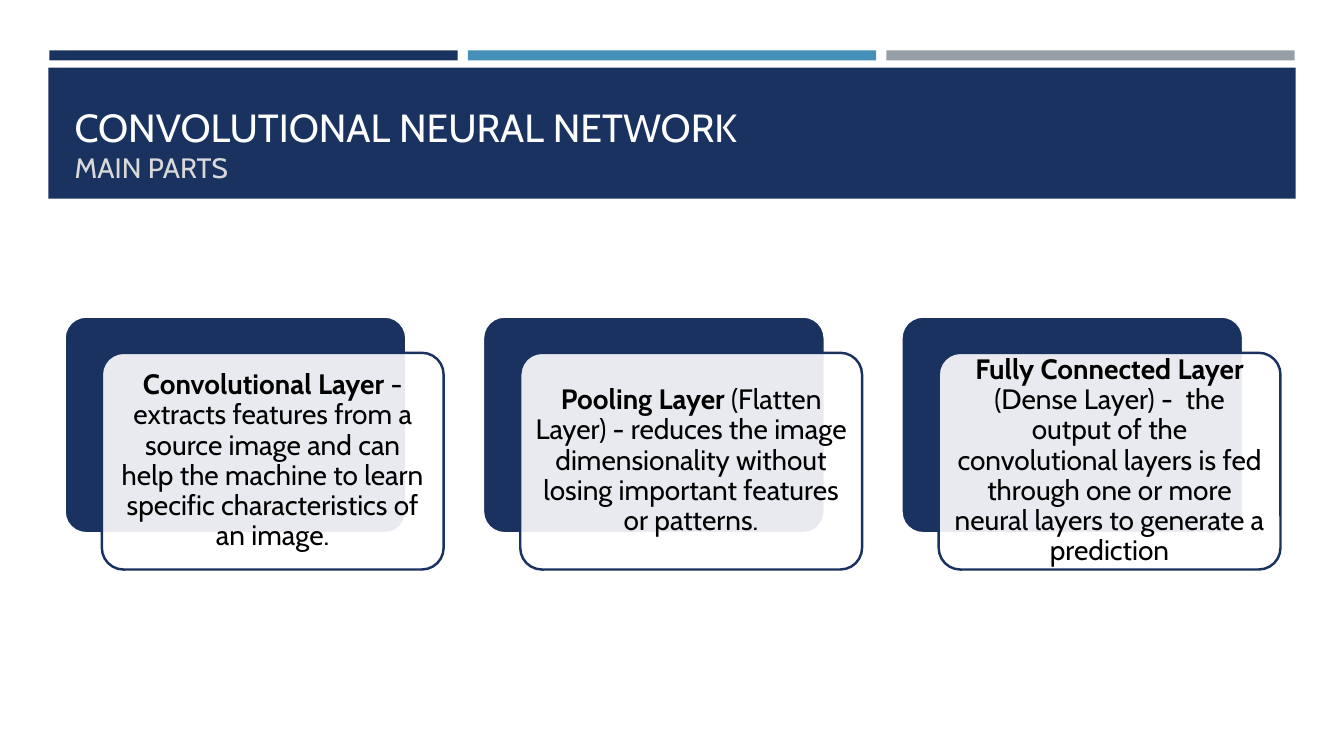
"""Build a slide on the three main parts of a convolutional neural network."""
from lxml import etree
from pptx import Presentation
from pptx import util as u
from pptx.dml.color import RGBColor
from pptx.enum import shapes, text
from pptx.oxml.ns import qn

COLORS = {"navy": "1A3260", "blue": "4590B8", "gray": "969FA7", "white": "FFFFFF",
          "title": "FFFEFF", "subtitle": "D9D9D9", "black": "000000"}
FONT = "Cabin"
COLUMN = 4.15
BAR_LEFT, CARD_LEFT, CARD_TOP = 0.49, 0.64, 3.14
CARD_W, CARD_H = 3.39, 2.15

prs = Presentation()
prs.slide_width, prs.slide_height = u.Inches(13.33), u.Inches(7.5)
s = prs.slides.add_slide(prs.slide_layouts[5])


def add_box(kind, x, y, w, h, fill, line=None):
    sp = s.shapes.add_shape(kind, *map(u.Inches, (x, y, w, h)))
    sp.shadow.inherit = False
    sp.fill.solid()
    sp.fill.fore_color.rgb = RGBColor.from_string(COLORS[fill])
    if line:
        sp.adjustments[0] = 0.1
        sp.line.color.rgb = RGBColor.from_string(COLORS[line])
        sp.line.width = u.Pt(1.75)
    else:
        sp.line.fill.background()
    return sp


def add_run(p, words, size, color, bold=False):
    r = p.add_run()
    r.text = words
    r.font.name, r.font.size, r.font.bold = FONT, u.Pt(size), bold
    r.font.color.rgb = RGBColor.from_string(COLORS[color])


RECT, ROUND = shapes.MSO_SHAPE.RECTANGLE, shapes.MSO_SHAPE.ROUNDED_RECTANGLE

for col, color in enumerate(("navy", "blue", "gray")):
    add_box(RECT, BAR_LEFT + col * COLUMN, 0.5, 4.05, 0.1, color)
band = add_box(RECT, 0.48, 0.67, 12.37, 1.3, "navy")

title = s.shapes.title
band.element.addnext(title.element)
title.left, title.top, title.width, title.height = map(u.Inches, (0.64, 0.77, 12.06, 1.11))
tf = title.text_frame
tf.auto_size = text.MSO_AUTO_SIZE.NONE
tf.word_wrap = True
tf.vertical_anchor = text.MSO_ANCHOR.BOTTOM
p = tf.paragraphs[0]
p.alignment = text.PP_ALIGN.LEFT
add_run(p, "CONVOLUTIONAL NEURAL NETWORK", 28, "title")
p.add_line_break()
add_run(p, "MAIN PARTS", 20, "subtitle")

layers = [
    ("Convolutional Layer ", "- extracts features from a source image and can help the "
     "machine to learn specific characteristics of an image."),
    ("Pooling Layer ", "(Flatten Layer) - reduces the image dimensionality without "
     "losing important features or patterns."),
    ("Fully Connected Layer ", "(Dense Layer) -  the output of the convolutional layers "
     "is fed through one or more neural layers to generate a prediction"),
]
for col, (name, description) in enumerate(layers):
    x = CARD_LEFT + col * COLUMN
    add_box(ROUND, x, CARD_TOP, CARD_W, CARD_H, "navy", "white")
    card = add_box(ROUND, x + 0.37, CARD_TOP + 0.36, CARD_W, CARD_H, "white", "navy")
    fill_color = card.element.spPr.find(qn("a:solidFill"))[0]
    etree.SubElement(fill_color, qn("a:alpha"), val="90000")
    tf = card.text_frame
    tf.word_wrap = True
    tf.vertical_anchor = text.MSO_ANCHOR.MIDDLE
    tf.margin_left = tf.margin_right = tf.margin_top = tf.margin_bottom = u.Inches(0.08)
    p = tf.paragraphs[0]
    p.alignment = text.PP_ALIGN.CENTER
    p.line_spacing = 0.9
    add_run(p, name, 20, "black", bold=True)
    add_run(p, description, 20, "black")

prs.save("out.pptx")
